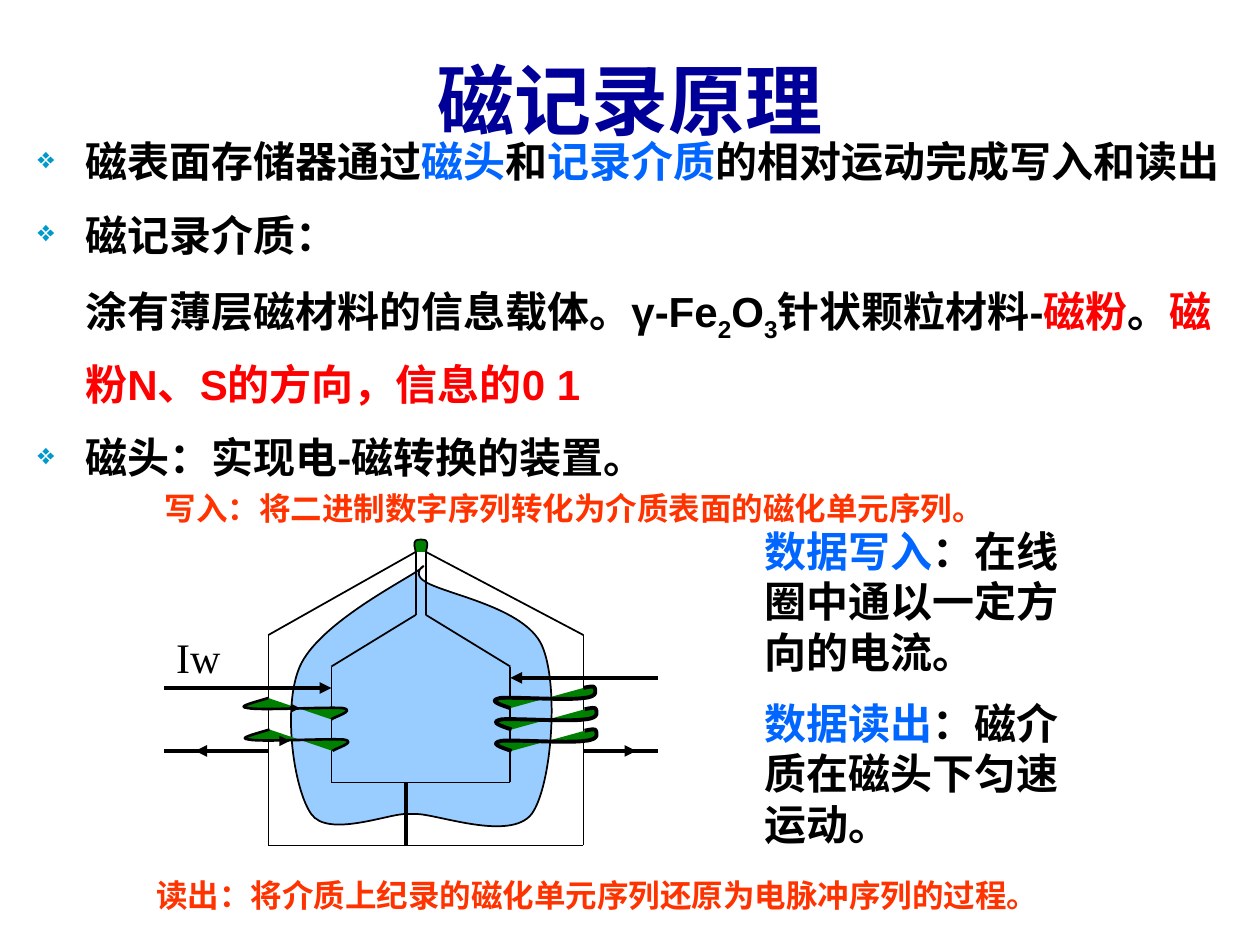
from dataclasses import dataclass
from itertools import chain, pairwise

from lxml import etree
from pptx import Presentation
from pptx import util as u
from pptx.dml.color import RGBColor
from pptx.enum import shapes, text
from pptx.oxml.ns import qn

Point = tuple[float, float]


@dataclass(frozen=True)
class Theme:
    sans: str = "Arial"
    serif: str = "Times New Roman"
    title_size: int = 44
    body_size: int = 24
    caption_size: int = 18
    title: str = "000099"
    ink: str = "000000"
    accent: str = "0066FF"
    alert: str = "FF0000"
    caption: str = "FF3300"
    bullet: str = "0099CC"
    flux: str = "99CCFF"
    coil: str = "008000"


THEME = Theme()


@dataclass(frozen=True)
class Span:
    words: str
    color: str = THEME.ink
    subscript: bool = False


@dataclass(frozen=True)
class Para:
    spans: list[Span]
    bullet: bool = False


@dataclass(frozen=True)
class Style:
    font: str
    size: int
    bold: bool = True
    align: text.PP_ALIGN = text.PP_ALIGN.LEFT
    anchor: text.MSO_ANCHOR = text.MSO_ANCHOR.TOP
    wrap: bool = True
    grow: bool = False
    before: int = 0  # percent of a line
    line_spacing: float = 1.0
    margin: float = 0.0


@dataclass(frozen=True)
class Wire:
    start: Point
    end: Point
    width: float = 2.25
    arrow: str = ""  # arrowhead size: sm or med


@dataclass(frozen=True)
class Curve:
    """A start point and Bezier segments of three points each."""
    start: Point
    segments: list[tuple[Point, Point, Point]]
    fill: str
    width: float
    closed: bool = False


def add_child(parent, tag: str, **attributes: str):
    return etree.SubElement(parent, qn(tag), attributes)


def add_text(holder, left: float, top: float, width: float, height: float,
             style: Style, paras: list[Para]) -> None:
    box = holder.add_textbox(*map(u.Inches, (left, top, width, height)))
    frame = box.text_frame
    frame.word_wrap = style.wrap
    frame.vertical_anchor = style.anchor
    if style.grow:
        frame.auto_size = text.MSO_AUTO_SIZE.SHAPE_TO_FIT_TEXT
    for index, item in enumerate(paras):
        para = frame.add_paragraph() if index else frame.paragraphs[0]
        props = para._p.get_or_add_pPr()
        if style.before:
            add_child(add_child(props, "a:spcBef"), "a:spcPct", val=str(style.before * 1000))
        if style.margin:
            props.set("marL", str(u.Inches(style.margin)))
            props.set("indent", str(-u.Inches(style.margin) if item.bullet else 0))
        if item.bullet:
            add_child(add_child(props, "a:buClr"), "a:srgbClr", val=THEME.bullet)
            add_child(props, "a:buSzPct", val="70000")
            add_child(props, "a:buChar", char="❖")
        para.line_spacing = style.line_spacing
        para.alignment = style.align
        para.font.name = style.font
        para.font.size = u.Pt(style.size)
        para.font.bold = style.bold
        for span in item.spans:
            run = para.add_run()
            run.text = span.words
            run.font.color.rgb = RGBColor.from_string(span.color)
            if span.subscript:
                run.font._element.set("baseline", "-25000")


def add_wire(holder, wire: Wire) -> None:
    line = holder.add_connector(shapes.MSO_CONNECTOR.STRAIGHT,
                                *map(u.Inches, (*wire.start, *wire.end)))
    line.line.color.rgb = RGBColor.from_string(THEME.ink)
    line.line.width = u.Pt(wire.width)
    if wire.arrow:
        add_child(line.line._get_or_add_ln(), "a:tailEnd",
                  type="triangle", w=wire.arrow, len=wire.arrow)
    add_child(line._element.spPr, "a:effectLst")


def add_curve(holder, curve: Curve, dx: float = 0, dy: float = 0) -> None:
    """Lay out a polygon of all points, then turn each three lines into one Bezier."""
    places = [(u.Inches(x + dx), u.Inches(y + dy))
              for x, y in chain([curve.start], *curve.segments)]
    builder = holder.build_freeform(*places[0])
    builder.add_line_segments(places[1:], close=curve.closed)
    shape = builder.convert_to_shape()
    lines = list(shape._element.iter(qn("a:lnTo")))
    for first, second, third in zip(lines[::3], lines[1::3], lines[2::3]):
        bezier = etree.Element(qn("a:cubicBezTo"))
        first.addprevious(bezier)
        for line in (first, second, third):
            bezier.append(line[0])
            line.getparent().remove(line)
    shape.shadow.inherit = False
    shape.fill.solid()
    shape.fill.fore_color.rgb = RGBColor.from_string(curve.fill)
    shape.line.color.rgb = RGBColor.from_string(THEME.ink)
    shape.line.width = u.Pt(curve.width)


FLUX = Curve((3.22, 6.46), [
    ((3.08, 6.46), (2.6, 6.65), (2.47, 6.46)), ((2.33, 6.26), (2.24, 5.61), (2.38, 5.29)),
    ((2.52, 4.97), (3.13, 4.65), (3.3, 4.54)), ((3.47, 4.43), (3.22, 4.53), (3.38, 4.62)),
    ((3.55, 4.72), (4.16, 4.82), (4.3, 5.12)), ((4.44, 5.43), (4.38, 6.24), (4.22, 6.46)),
    ((4.05, 6.68), (3.47, 6.46), (3.3, 6.46)), ((3.13, 6.46), (3.35, 6.46), (3.22, 6.46)),
], THEME.flux, 1, closed=True)
GAP_CAP = Curve((3.3, 4.38), [
    ((3.29, 4.34), (3.28, 4.31), (3.3, 4.29)), ((3.31, 4.28), (3.37, 4.28), (3.38, 4.29)),
    ((3.4, 4.31), (3.39, 4.34), (3.38, 4.38)),
], THEME.coil, 1)
LEFT_TURN = Curve((2.13, 5.54), [
    ((2, 5.58), (1.87, 5.61), (1.97, 5.62)), ((2.06, 5.64), (2.6, 5.61), (2.72, 5.62)),
    ((2.83, 5.64), (2.65, 5.69), (2.63, 5.71)),
], THEME.coil, 1.5)
RIGHT_TURN = Curve((4.63, 5.46), [
    ((4.67, 5.45), (4.72, 5.44), (4.72, 5.46)), ((4.72, 5.47), (4.76, 5.53), (4.63, 5.54)),
    ((4.51, 5.56), (4.06, 5.53), (3.97, 5.54)), ((3.87, 5.56), (3.96, 5.59), (4.05, 5.62)),
], THEME.coil, 2.25)
CORE_OUTER = [(3.3, 4.38), (2.13, 5.04), (2.13, 6.71), (4.63, 6.71), (4.63, 5.04), (3.38, 4.38)]
CORE_INNER = [(3.3, 4.38), (3.3, 4.88), (2.63, 5.29), (2.63, 6.21),
              (4.05, 6.21), (4.05, 5.29), (3.38, 4.88), (3.38, 4.38)]
LEADS = [
    Wire((1.3, 5.46), (2.63, 5.46), arrow="med"), Wire((2.13, 5.96), (1.55, 5.96), arrow="med"),
    Wire((2.3, 5.62), (2.38, 5.62), arrow="sm"), Wire((2.22, 5.88), (2.3, 5.88), 3, "sm"),
    Wire((1.8, 5.96), (1.3, 5.96)), Wire((3.22, 6.21), (3.22, 6.71)),
    Wire((5.22, 5.38), (4.05, 5.38), arrow="med"), Wire((4.63, 5.96), (5.05, 5.96), arrow="med"),
    Wire((4.97, 5.96), (5.22, 5.96)),
]
BODY = [
    Para([Span("磁表面存储器通过"), Span("磁头", THEME.accent), Span("和"),
          Span("记录介质", THEME.accent), Span("的相对运动完成写入和读出")], bullet=True),
    Para([Span("磁记录介质：")], bullet=True),
    Para([Span("涂有薄层磁材料的信息载体。γ-Fe"), Span("2", subscript=True), Span("O"),
          Span("3", subscript=True), Span("针状颗粒材料-"), Span("磁粉", THEME.alert),
          Span("。"), Span("磁粉N、S的方向，信息的0 1", THEME.alert)]),
    Para([Span("磁头：实现电-磁转换的装置。")], bullet=True),
]
NOTES = [
    Para([Span("数据写入", THEME.accent), Span("：在线圈中通以一定方向的电流。")]),
    Para([Span("数据读出", THEME.accent), Span("：磁介质在磁头下匀速运动。")]),
]


def draw_head(page) -> None:
    """Magnetic head: flux, core, windings and leads, in one group."""
    head = page.shapes.add_group_shape().shapes
    add_curve(head, FLUX)
    for outline in (CORE_OUTER, CORE_INNER):
        for start, end in pairwise(outline):
            add_wire(head, Wire(start, end, 1))
    for turn in range(2):
        add_curve(head, LEFT_TURN, turn * 0.01, turn * 0.25)
    add_curve(head, GAP_CAP)
    for turn in range(3):
        add_curve(head, RIGHT_TURN, 0.01 if turn else 0, turn * 0.17)
    for lead in LEADS:
        add_wire(head, lead)
    add_text(head, 1.3, 4.96, 0.75, 0.5,
             Style(THEME.serif, THEME.body_size, bold=False, grow=True, before=50),
             [Para([Span("Iw")])])


def main() -> None:
    deck = Presentation()
    deck.slide_width, deck.slide_height = u.Inches(10), u.Inches(7.5)
    page = deck.slides.add_slide(deck.slide_layouts[6])
    add_text(page.shapes, 0.33, 0.16, 9.34, 1.25,
             Style(THEME.sans, THEME.title_size, align=text.PP_ALIGN.CENTER,
                   anchor=text.MSO_ANCHOR.MIDDLE), [Para([Span("磁记录原理", THEME.title)])])
    add_text(page.shapes, 0.2, 0.91, 9.8, 2.14,
             Style(THEME.sans, THEME.body_size, before=20, line_spacing=1.3, margin=0.38), BODY)
    draw_head(page)
    add_text(page.shapes, 5.97, 4.12, 2.67, 2.7,
             Style(THEME.serif, THEME.body_size, grow=True, before=50), NOTES)
    caption = Style(THEME.sans, THEME.caption_size, wrap=False, grow=True)
    for left, top, width, words in (
        (1.21, 3.83, 6.7, "写入：将二进制数字序列转化为介质表面的磁化单元序列。"),
        (1.14, 6.9, 7.2, "读出：将介质上纪录的磁化单元序列还原为电脉冲序列的过程。"),
    ):
        add_text(page.shapes, left, top, width, 0.4, caption, [Para([Span(words, THEME.caption)])])
    deck.save("out.pptx")


if __name__ == "__main__":
    main()
